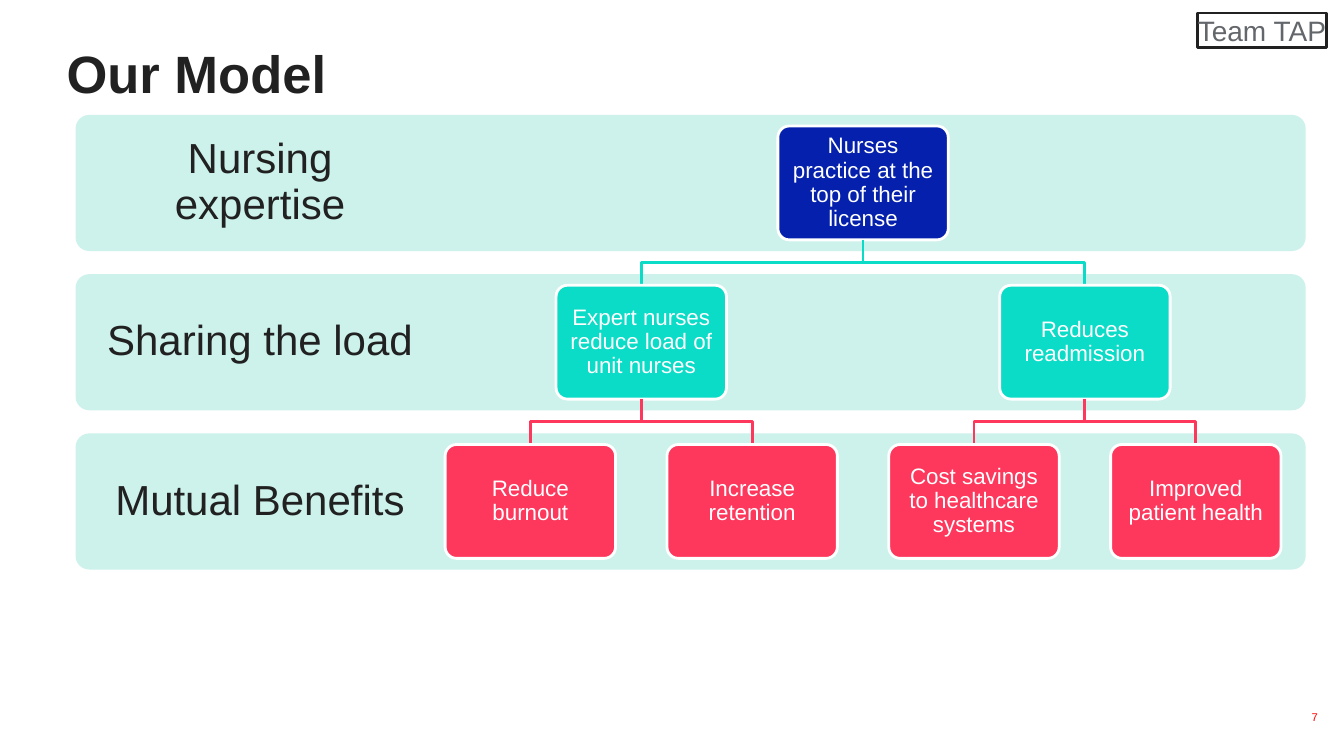
"""Build the "Our Model" slide: three bands holding a tree of nursing benefits."""
from typing import NamedTuple, Optional

from pptx import Presentation
from pptx.dml.color import RGBColor
from pptx.enum.shapes import MSO_SHAPE as SHAPE
from pptx.enum.text import MSO_ANCHOR as ANCHOR, PP_ALIGN as ALIGN
from pptx.util import Inches, Pt

INK = RGBColor(0x21, 0x21, 0x21)
GREY = RGBColor(0x63, 0x66, 0x6A)
WHITE = RGBColor(0xFF, 0xFF, 0xFF)
RED = RGBColor(0xFF, 0x00, 0x00)
MINT = RGBColor(0xCC, 0xF2, 0xEB)
NAVY = RGBColor(0x04, 0x20, 0xAC)
TEAL = RGBColor(0x0B, 0xDC, 0xC7)
PINK = RGBColor(0xFE, 0x37, 0x5D)

BAND_X, BAND_Y, BAND_W, BAND_H = 0.75, 1.14, 12.2, 1.35
LABEL_W = BAND_W * 0.3
ROW, COL, FIRST_COL = 1.58, 1.1, 5.26
NODE_W, NODE_H, NODE_DY = 1.69, 1.13, 0.11

LABELS = ("Nursing expertise", "Sharing the load", "Mutual Benefits")
ROW_COLORS = (NAVY, TEAL, PINK)


class Node(NamedTuple):
    """A box of the tree, by row and column, with its parent's column."""
    text: str
    row: int
    col: int
    parent: Optional[int] = None

    @property
    def top(self) -> float:
        """Return the top edge in inches."""
        return BAND_Y + NODE_DY + self.row * ROW


NODES = (
    Node("Nurses practice at the top of their license", 0, 3),
    Node("Expert nurses reduce load of unit nurses", 1, 1, 3),
    Node("Reduces readmission", 1, 5, 3),
    Node("Reduce burnout", 2, 0, 1),
    Node("Increase retention", 2, 2, 1),
    Node("Cost savings to healthcare systems", 2, 4, 5),
    Node("Improved patient health", 2, 6, 5),
)


def center(col: int) -> float:
    """Return the middle of a grid column in inches."""
    return FIRST_COL + col * COL


def box(x: float, y: float, w: float, h: float) -> list:
    """Return a rectangle given in inches as lengths."""
    return [Inches(v) for v in (x, y, w, h)]


def write(sp, text: str, *, size: float, color: RGBColor, bold: bool = False,
          align=ALIGN.CENTER, anchor=ANCHOR.MIDDLE, inset: float = 0.0,
          spacing: float = 1.0, wrap: bool = True) -> None:
    """Put one formatted paragraph into a shape."""
    tf = sp.text_frame
    tf.word_wrap, tf.vertical_anchor = wrap, anchor
    tf.margin_left = tf.margin_right = Inches(inset)
    tf.margin_top = tf.margin_bottom = Inches(inset)
    p = tf.paragraphs[0]
    p.alignment, p.line_spacing = align, spacing
    r = p.add_run()
    r.text = text
    r.font.name, r.font.size, r.font.bold = "Arial", Pt(size), bold
    r.font.color.rgb = color


def add_box(s, kind, area: list, fill: RGBColor, line: Optional[RGBColor] = None):
    """Add a filled preset shape, outlined when a line colour is given."""
    sp = s.shapes.add_shape(kind, *area)
    sp.shadow.inherit = False
    sp.fill.solid()
    sp.fill.fore_color.rgb = fill
    if kind == SHAPE.ROUNDED_RECTANGLE:
        sp.adjustments[0] = 0.1
    if line is None:
        sp.line.fill.background()
    else:
        sp.line.color.rgb = line
        sp.line.width = Pt(2)
    return sp


def add_band(s, row: int, label: str) -> None:
    """Add a row's band and its label."""
    y = BAND_Y + row * ROW
    add_box(s, SHAPE.ROUNDED_RECTANGLE, box(BAND_X, y, BAND_W, BAND_H), MINT)
    sp = s.shapes.add_textbox(*box(BAND_X, y, LABEL_W, BAND_H))
    write(sp, label, size=30, color=INK, inset=0.23, spacing=0.9)


def add_branch(s, node: Node) -> None:
    """Draw the elbow line from the parent down to a node."""
    x0, x1 = center(node.parent), center(node.col)
    y0, y1 = node.top - ROW + NODE_H, node.top
    mid = (y0 + y1) / 2
    points = [(Inches(x), Inches(y))
              for x, y in ((x0, y0), (x0, mid), (x1, mid), (x1, y1))]
    fb = s.shapes.build_freeform(*points[0])
    fb.add_line_segments(points[1:], close=False)
    sp = fb.convert_to_shape()
    sp.shadow.inherit = False
    sp.fill.background()
    sp.line.color.rgb = ROW_COLORS[node.row]
    sp.line.width = Pt(2)


def add_node(s, node: Node) -> None:
    """Draw a node's box with its text."""
    area = box(center(node.col) - NODE_W / 2, node.top, NODE_W, NODE_H)
    sp = add_box(s, SHAPE.ROUNDED_RECTANGLE, area, ROW_COLORS[node.row], WHITE)
    write(sp, node.text, size=16, color=WHITE, inset=0.1, spacing=0.9)


def main() -> None:
    """Build and save the slide."""
    prs = Presentation()
    prs.slide_width, prs.slide_height = Inches(13.33), Inches(7.5)
    s = prs.slides.add_slide(prs.slide_layouts[5])

    title = s.shapes.title
    title.left, title.top, title.width, title.height = box(0.66, 0.41, 11.1, 0.63)
    write(title, "Our Model", size=37.5, color=INK, bold=True,
          align=ALIGN.LEFT, anchor=ANCHOR.TOP)
    number = s.shapes.add_textbox(*box(12.67, 6.93, 0.5, 0.36))
    write(number, "7", size=8, color=RED, align=ALIGN.RIGHT, inset=0.1)

    for row, label in enumerate(LABELS):
        add_band(s, row, label)
    for node in NODES:
        if node.parent is not None:
            add_branch(s, node)
        add_node(s, node)

    tag = add_box(s, SHAPE.RECTANGLE, box(11.88, 0.13, 1.28, 0.34), WHITE, INK)
    write(tag, "Team TAP", size=20, color=GREY, align=ALIGN.LEFT,
          anchor=ANCHOR.TOP, wrap=False)
    prs.save("out.pptx")


if __name__ == "__main__":
    main()
